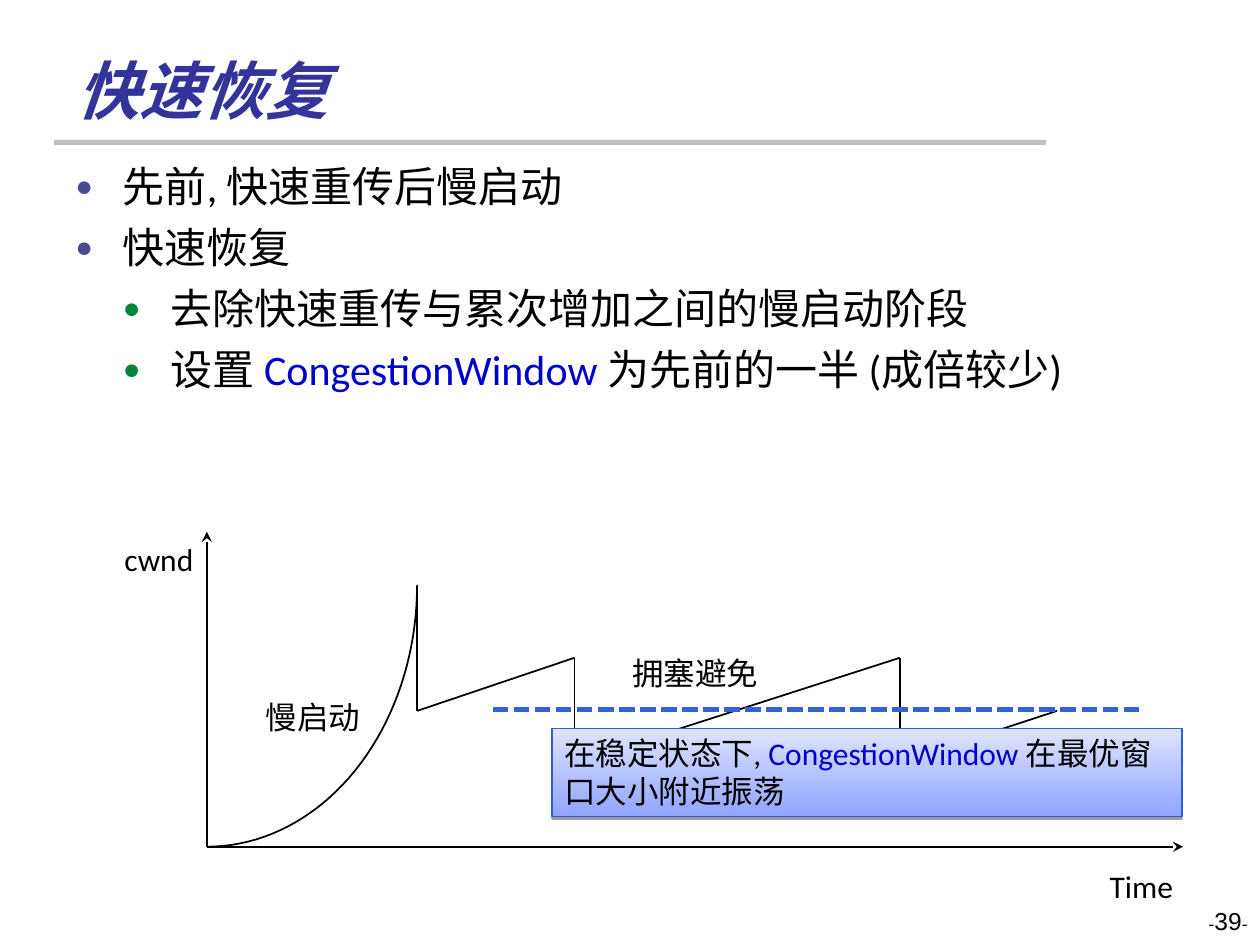
import math
import pptx
import pptx.util
import pptx.dml.color
import pptx.enum.dml
import pptx.enum.shapes
import pptx.enum.text
import pptx.oxml
import pptx.oxml.ns
from lxml import etree

Cm, Pt = pptx.util.Cm, pptx.util.Pt
Align = pptx.enum.text.PP_ALIGN
Anchor = pptx.enum.text.MSO_ANCHOR
Fit = pptx.enum.text.MSO_AUTO_SIZE
Shape = pptx.enum.shapes.MSO_SHAPE
Dash = pptx.enum.dml.MSO_LINE
BLACK, NAVY, BLUE = "000000", "333399", "0000CC"


def color(code):
    return pptx.dml.color.RGBColor.from_string(code)


def add(parent, tag, **attrs):
    return etree.SubElement(parent, pptx.oxml.ns.qn(tag), attrs)


def write(para, text, size=18, font="Calibri", code=BLACK, bold=False, slant=False):
    run = para.add_run()
    run.text = text
    run.font.size, run.font.name = Pt(size), font
    run.font.bold, run.font.italic = bold, slant
    run.font.color.rgb = color(code)


class Deck:
    ink, thin = BLACK, 1

    def __init__(self):
        self.file = pptx.Presentation()
        self.file.slide_width, self.file.slide_height = Cm(25.4), Cm(19.05)
        self.slide = self.file.slides.add_slide(self.file.slide_layouts[6])
        self.shapes = self.slide.shapes

    def box(self, x, y, w, h, wrap=True, anchor=Anchor.TOP):
        frame = self.shapes.add_textbox(Cm(x), Cm(y), Cm(w), Cm(h)).text_frame
        frame.word_wrap = wrap
        frame.vertical_anchor = anchor
        return frame

    def label(self, text, x, y, w):
        frame = self.box(x, y, w, 1.02, wrap=False)
        frame.auto_size = Fit.SHAPE_TO_FIT_TEXT
        write(frame.paragraphs[0], text)

    def item(self, frame, level, runs):
        first = not frame.paragraphs[0].runs
        para = frame.paragraphs[0] if first else frame.add_paragraph()
        para.level = level
        props = para._p.get_or_add_pPr()
        props.set("marL", str(Cm(0.96 * (level + 1))))
        props.set("indent", str(-Cm(0.96)))
        if not first:
            para.space_before = Pt(6)
        tint = add(props, "a:buClr")
        add(tint, "a:srgbClr", val=("4A4A97", "00843C")[level])
        add(props, "a:buSzPct", val="70000")
        add(props, "a:buFont", typeface="Arial")
        add(props, "a:buChar", char="●")
        for text, code in runs:
            write(para, text, size=24, code=code)

    def line(self, start, end, code=ink, width=thin, dash=None, arrow=False):
        kind = pptx.enum.shapes.MSO_CONNECTOR.STRAIGHT
        link = self.shapes.add_connector(kind, *map(Cm, start + end))
        link.line.color.rgb, link.line.width = color(code), Pt(width)
        if dash:
            link.line.dash_style = dash
        if arrow:
            add(link.line._get_or_add_ln(), "a:tailEnd", type="stealth")
        add(link._element.spPr, "a:effectLst")

    def curve(self, points):
        start, *rest = [(Cm(x), Cm(y)) for x, y in points]
        pen = self.shapes.build_freeform(*start)
        pen.add_line_segments(rest, close=False)
        shape = pen.convert_to_shape()
        shape.shadow.inherit = False
        shape.fill.background()
        shape.line.color.rgb, shape.line.width = color(self.ink), Pt(self.thin)

    def rect(self, x, y, w, h):
        shape = self.shapes.add_shape(Shape.RECTANGLE, Cm(x), Cm(y), Cm(w), Cm(h))
        shape.shadow.inherit = False
        return shape

    def bar(self, x, y, w, h, code):
        shape = self.rect(x, y, w, h)
        shape.fill.solid()
        shape.fill.fore_color.rgb = color(code)
        shape.line.fill.background()

    def note(self, x, y, w, h, runs):
        shape = self.rect(x, y, w, h)
        shape.fill.gradient()
        shape.fill.gradient_angle = 90
        for stop, code in zip(shape.fill.gradient_stops, ("8FA4FF", "DFE5FF")):
            stop.color.rgb = color(code)
        shape.line.color.rgb, shape.line.width = color("2D5DD9"), Pt(0.75)
        effects = shape._element.spPr.find(pptx.oxml.ns.qn("a:effectLst"))
        shade = add(effects, "a:outerShdw", blurRad="0", dist=str(Pt(1.6)),
                    dir="5400000", rotWithShape="0")
        add(add(shade, "a:srgbClr", val=BLACK), "a:alpha", val="38000")
        frame = shape.text_frame
        frame.word_wrap, frame.vertical_anchor = True, Anchor.TOP
        para = frame.paragraphs[0]
        para.alignment = Align.LEFT
        for text, code in runs:
            write(para, text, code=code)


def main():
    deck = Deck()

    # Title, rule and page number
    deck.bar(1.09, 2.82, 20, 0.1, "BFBFBF")
    page = deck.box(19.48, 18.14, 5.92, 1.27).paragraphs[0]
    page.alignment = Align.RIGHT
    for text, size in (("-", 10), ("39", 14), ("-", 10)):
        write(page, text, size=size, font="Arial")
    title = deck.box(1.3, 0.71, 20.95, 1.98, anchor=Anchor.BOTTOM)
    write(title.paragraphs[0], "快速恢复", size=36, code=NAVY, bold=True, slant=True)

    # Bullets
    body = deck.box(1.27, 3.12, 22.86, 14.81)
    deck.item(body, 0, [("先前, 快速重传后慢启动", BLACK)])
    deck.item(body, 0, [("快速恢复", BLACK)])
    deck.item(body, 1, [("去除快速重传与累次增加之间的慢启动阶段", BLACK)])
    deck.item(body, 1, [("设置 ", BLACK), ("CongestionWindow ", BLUE),
                        ("为先前的一半 (成倍较少)", BLACK)])

    # Axes
    left, base = 4.17, 17.07
    deck.line((left, base), (left, 10.72), arrow=True)
    deck.line((left, base), (23.85, base), arrow=True)
    deck.label("Time", 22.12, 17.35, 1.8)
    deck.label("cwnd", 2.26, 10.77, 1.9)

    # Slow start: a quarter ellipse from the peak down to the origin
    peak, top, steps = 8.41, 11.79, 40
    turns = [math.pi / 2 * i / steps for i in range(steps + 1)]
    deck.curve([(left + (peak - left) * math.cos(t),
                 top + (base - top) * math.sin(t)) for t in turns])

    # Congestion avoidance: the sawtooth
    high, mid, low = 13.26, 14.33, 15.37
    teeth = [(peak, 11.99), (peak, mid), (11.58, high), (11.58, low),
             (18.14, high), (18.14, low), (21.31, mid)]
    for start, end in zip(teeth, teeth[1:]):
        deck.line(start, end)
    deck.label("慢启动", 5.11, 13.94, 2.41)
    deck.label("拥塞避免", 12.5, 13.06, 3.05)

    # Steady state note and best window level
    deck.note(11.13, 14.68, 12.7, 1.78, [
        ("在稳定状态下, ", BLACK), ("CongestionWindow ", BLUE),
        ("在最优窗口大小附近振荡", BLACK)])
    deck.line((9.93, 14.3), (23.01, 14.3), code="3261DA", width=3,
              dash=Dash.SQUARE_DOT)

    deck.file.save("out.pptx")


if __name__ == "__main__":
    main()
